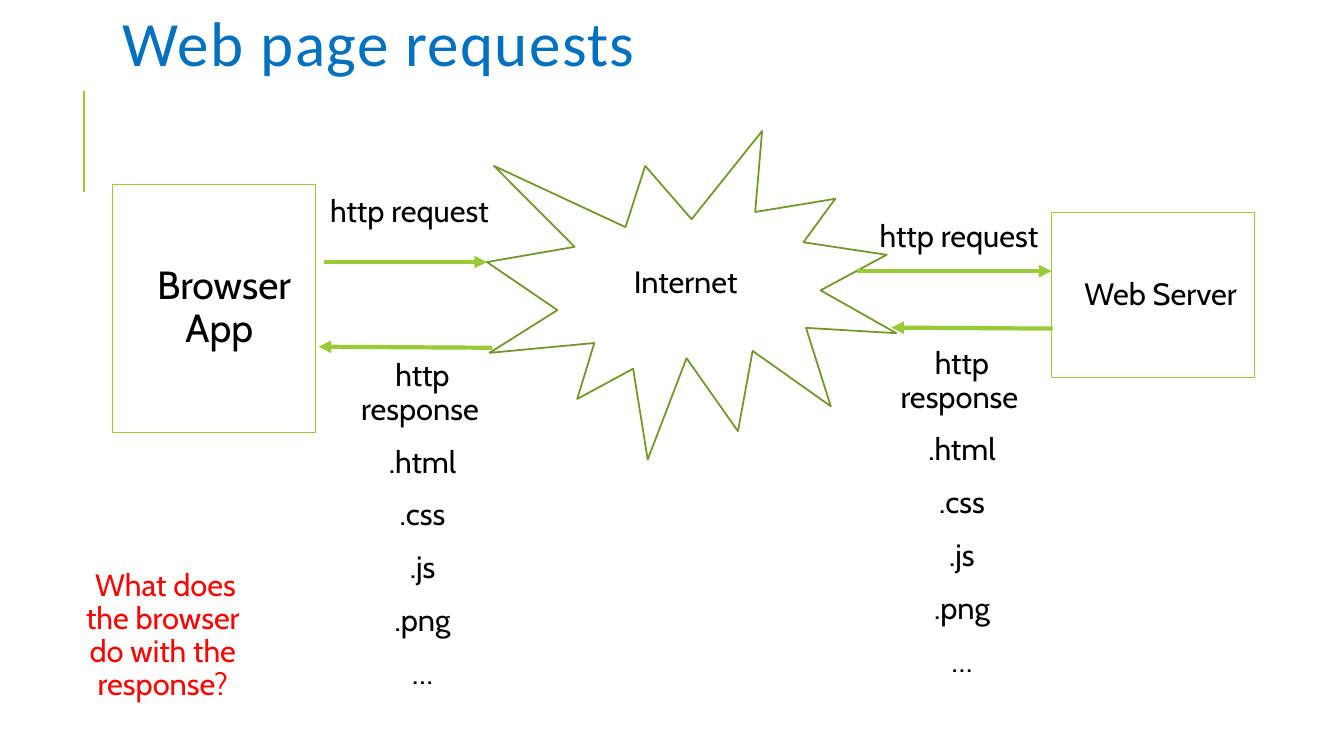
from lxml import etree
from pptx import Presentation
from pptx import util as u
from pptx.dml.color import RGBColor
from pptx.enum import shapes, text
from pptx.oxml.ns import qn

GREEN = RGBColor(0x99, 0xCB, 0x38)
DARK_GREEN = RGBColor(0x71, 0x96, 0x29)
BLUE = RGBColor(0x00, 0x70, 0xC0)
RED = RGBColor(0xFF, 0x00, 0x00)
BLACK = RGBColor(0x00, 0x00, 0x00)

COLUMNS, ROWS = 13.33, 7.5
BOX_WIDTH = 2.01
LABEL_HEIGHT = 0.5
RESPONSE_LINES = ["http response", ".html", ".css", ".js", ".png", "…"]


class Diagram:
    """Draws styled elements on one slide, placed in grid columns and rows."""

    cell = u.Inches(1)
    body_font = {"name": "Cabin", "size": u.Pt(22)}
    title_font = {"name": "Calibri", "size": u.Pt(45)}
    body_paragraph = {
        "alignment": text.PP_ALIGN.CENTER,
        "line_spacing": 0.9,
        "space_before": u.Pt(12),
        "space_after": u.Pt(2),
    }
    body_frame = {
        "word_wrap": True,
        "vertical_anchor": text.MSO_ANCHOR.MIDDLE,
        **{f"margin_{side}": u.Inches(0.05) for side in ("left", "right", "top", "bottom")},
    }

    def __init__(self, presentation):
        presentation.slide_width = self.grid(COLUMNS)
        presentation.slide_height = self.grid(ROWS)
        self.slide = presentation.slides.add_slide(presentation.slide_layouts[6])

    def grid(self, count):
        return u.Emu(round(count * self.cell))

    def place(self, *counts):
        return [self.grid(count) for count in counts]

    def apply(self, target, values):
        for name, value in values.items():
            setattr(target, name, value)

    def add_run(self, paragraph, words, color, font):
        run = paragraph.add_run()
        run.text = words
        self.apply(run.font, font)
        run.font.color.rgb = color
        return run

    def fill_text(self, shape, lines, color, size):
        frame = shape.text_frame
        self.apply(frame, self.body_frame)
        for index, words in enumerate(lines):
            paragraph = frame.add_paragraph() if index else frame.paragraphs[0]
            self.apply(paragraph, self.body_paragraph)
            properties = paragraph._p.get_or_add_pPr()
            properties.set("marL", str(u.Inches(0.1)))
            properties.set("indent", str(-u.Inches(0.1)))
            bullet_color = etree.SubElement(properties, qn("a:buClr"))
            etree.SubElement(bullet_color, qn("a:srgbClr"), val=str(GREEN))
            etree.SubElement(properties, qn("a:buChar"), char=" ")
            self.add_run(paragraph, words, color, {**self.body_font, "size": u.Pt(size)})

    def title(self, words, left, top, width, height):
        shape = self.slide.shapes.add_textbox(*self.place(left, top, width, height))
        self.apply(shape.text_frame, {"word_wrap": True, "vertical_anchor": text.MSO_ANCHOR.MIDDLE})
        paragraph = shape.text_frame.paragraphs[0]
        paragraph.line_spacing = 0.8
        run = self.add_run(paragraph, words, BLUE, self.title_font)
        run.font._element.set("spc", "100")

    def label(self, lines, left, top, height=LABEL_HEIGHT, color=BLACK):
        shape = self.slide.shapes.add_textbox(*self.place(left, top, BOX_WIDTH, height))
        self.fill_text(shape, lines, color, 22)

    def outline(self, kind, left, top, width, height, color, weight):
        shape = self.slide.shapes.add_shape(kind, *self.place(left, top, width, height))
        shape.shadow.inherit = False
        shape.fill.background()
        self.apply(shape.line, {"width": u.Pt(weight)})
        shape.line.color.rgb = color
        return shape

    def box(self, words, left, top, height, size):
        kind = shapes.MSO_SHAPE.RECTANGLE
        shape = self.outline(kind, left, top, BOX_WIDTH, height, GREEN, 0.75)
        self.fill_text(shape, [words], BLACK, size)

    def burst(self, left, top, width, height):
        kind = shapes.MSO_SHAPE.EXPLOSION1
        self.outline(kind, left, top, width, height, DARK_GREEN, 1.25)

    def line(self, start, end, weight):
        connector = self.slide.shapes.add_connector(
            shapes.MSO_CONNECTOR.STRAIGHT, *self.place(*start, *end)
        )
        connector.line.width = u.Pt(weight)
        connector.line.color.rgb = GREEN
        etree.SubElement(connector._element.spPr, qn("a:effectLst"))
        return connector

    def arrow(self, start, end):
        connector = self.line(start, end, 3)
        etree.SubElement(connector.line._get_or_add_ln(), qn("a:tailEnd"), type="triangle")


def main():
    presentation = Presentation()
    diagram = Diagram(presentation)

    diagram.line((0.83, 1.9), (0.83, 0.9), 1.5)
    diagram.title("Web page requests", 1.12, 0.2, 10.63, 0.55)

    diagram.box("Browser App", 1.12, 1.83, 2.46, 28)
    diagram.burst(4.83, 1.3, 4.06, 3.26)
    diagram.box("Web Server", 10.43, 2.11, 1.64, 22)

    for start, end in (
        ((3.21, 2.6), (4.83, 2.6)),
        ((8.5, 2.69), (10.43, 2.69)),
        ((10.44, 3.26), (8.84, 3.25)),
        ((4.88, 3.45), (3.16, 3.44)),
    ):
        diagram.arrow(start, end)

    for left, top in ((2.98, 1.86), (8.43, 2.11)):
        diagram.label(["http request"], left, top)
    for left, top, height in ((3.11, 3.52, 3.39), (8.46, 3.29, 3.61)):
        diagram.label(RESPONSE_LINES, left, top, height)
    diagram.label(["Internet"], 5.72, 2.56)
    diagram.label(["What does the browser do with the response?"], 0.56, 5.37, 1.88, RED)

    presentation.save("out.pptx")


if __name__ == "__main__":
    main()
